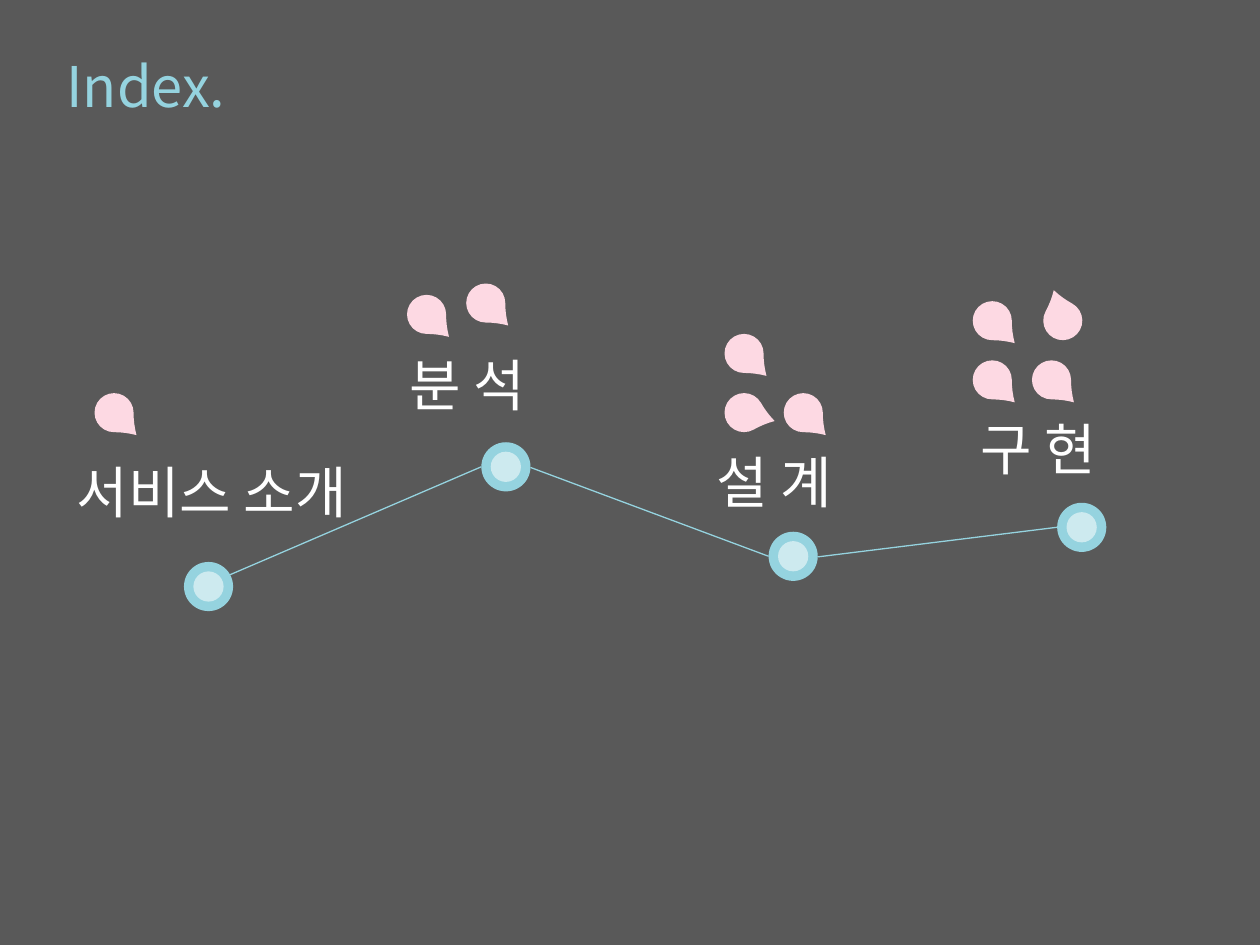
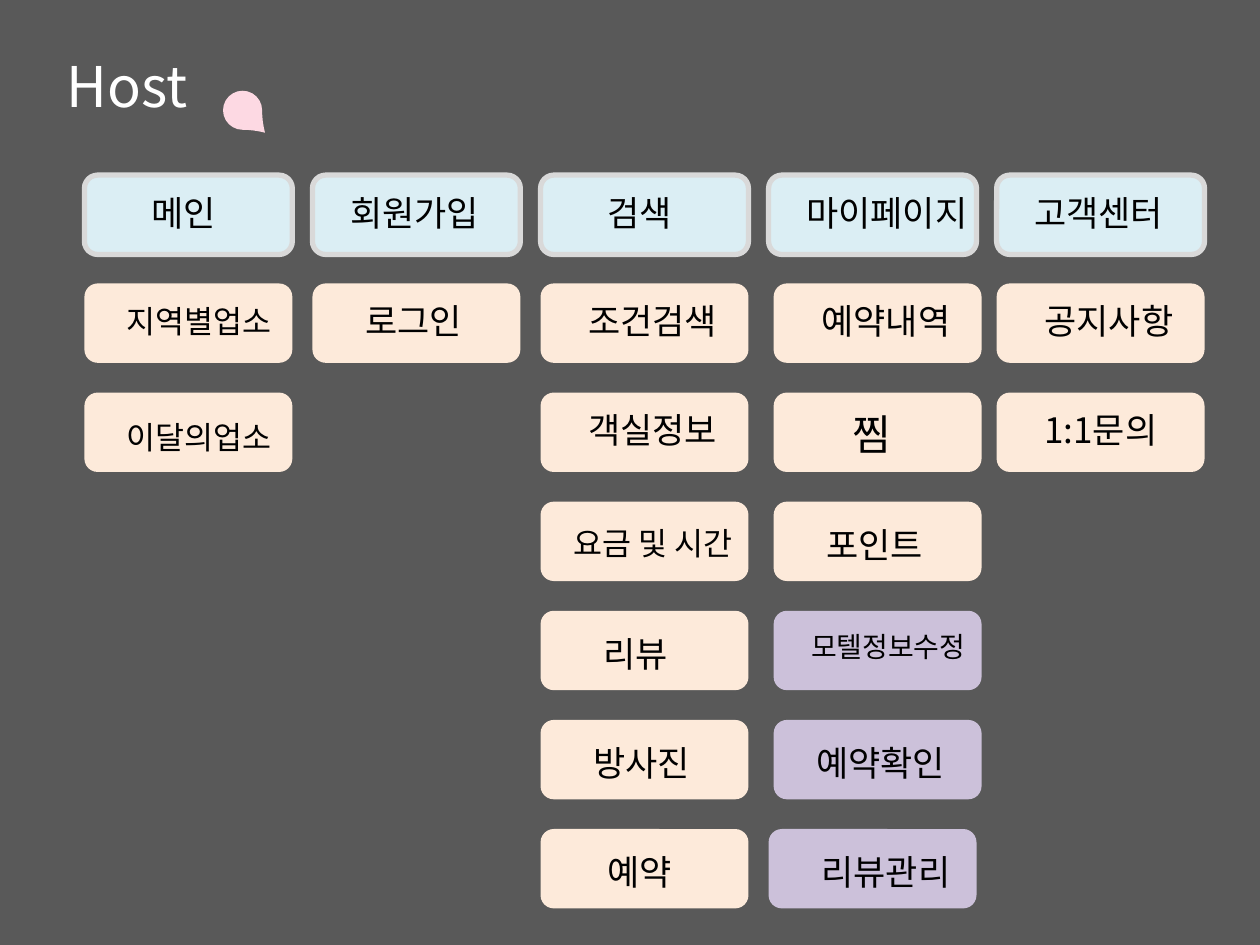
from lxml import etree
from pptx import Presentation
from pptx.dml.color import RGBColor
from pptx.enum.shapes import MSO_CONNECTOR, MSO_SHAPE
from pptx.enum.text import MSO_AUTO_SIZE
from pptx.oxml.ns import qn
from pptx.util import Inches, Pt

RECT, OVAL = MSO_SHAPE.RECTANGLE, MSO_SHAPE.OVAL
CARD, PETAL = MSO_SHAPE.ROUNDED_RECTANGLE, MSO_SHAPE.TEAR
STRAIGHT = MSO_CONNECTOR.STRAIGHT
GROW = MSO_AUTO_SIZE.SHAPE_TO_FIT_TEXT

FONT = "Noto Sans CJK KR"
COLORS = {
    "back": "595959", "white": "FFFFFF", "black": "000000",
    "aqua": "95D3DF", "petal": "FDD9E3", "menu": "DBEEF4",
    "menu_edge": "D9D9D9", "page": "FDEADA", "manage": "CCC1DA",
}

PETAL_SIZE = 0.31
NODE_SIZE, CORE_SIZE = 0.39, 0.24
LABEL_WIDTH, LABEL_HEIGHT = 2.36, 0.64

# Stops of the index: label, label place, node place, line exit in the node,
# petals as (left, top, rotation)
STOPS = [
    ("서비스 소개", (0.51, 3.58), (1.46, 4.46), (0.23, 0.16),
     [(0.75, 3.12, 90)]),
    ("분 석", (3.15, 2.73), (3.82, 3.51), (NODE_SIZE, 0.2),
     [(3.23, 2.34, 90), (3.7, 2.25, 90)]),
    ("설 계", (5.59, 3.5), (6.1, 4.22), (NODE_SIZE, 0.2),
     [(5.75, 3.12, 60.3), (6.22, 3.12, 90), (5.75, 2.65, 90)]),
    ("구 현", (7.68, 3.24), (8.39, 3.99), (NODE_SIZE, 0.2),
     [(7.72, 2.86, 90), (8.19, 2.86, 90), (7.72, 2.39, 90),
      (8.28, 2.39, 298.5)]),
]

# Site map geometry
CARD_WIDTH, CARD_HEIGHT = 1.65, 0.63
MAP_LEFT, MENU_TOP, PAGES_TOP = 0.67, 1.39, 2.25
COLUMN_STEP = 1.81
ROW_STEP = (6.58 - PAGES_TOP) / 5

# Each column: the menu, then its pages.
# Each card: text, label offset, label width, size, fill, shift of the card
MENUS = [
    [("메인", 0.43, 0.08, 1.61, 20, "menu", 0),
     ("지역별업소", 0.24, 0.1, 1.57, 18, "page", 0),
     ("이달의업소", 0.24, 0.15, 1.57, 18, "page", 0)],
    [("회원가입", 0.2, 0.08, 1.61, 20, "menu", 0),
     ("로그인", 0.32, 0.08, 1.14, 20, "page", 0)],
    [("검색", 0.43, 0.08, 1.14, 20, "menu", 0),
     ("조건검색", 0.28, 0.08, 1.46, 20, "page", 0),
     ("객실정보", 0.28, 0.08, 1.46, 20, "page", 0),
     ("요금 및 시간", 0.16, 0.13, 1.73, 18, "page", 0),
     ("리뷰", 0.4, 0.12, 1.46, 20, "page", 0),
     ("방사진", 0.32, 0.12, 1.46, 20, "page", 0),
     ("예약", 0.43, 0.12, 1.46, 20, "page", 0)],
    [("마이페이지", 0.2, 0.08, 1.93, 20, "menu", 0),
     ("예약내역", 0.28, 0.08, 1.46, 20, "page", 0.04),
     ("찜", 0.53, 0.08, 0.57, 24, "page", 0.04),
     ("포인트", 0.32, 0.12, 1.46, 20, "page", 0.04),
     ("모텔정보수정", 0.2, 0.1, 1.69, 16, "manage", 0.04),
     ("예약확인", 0.24, 0.12, 1.46, 20, "manage", 0.04),
     ("리뷰관리", 0.32, 0.12, 1.46, 20, "manage", 0)],
    [("고객센터", 0.2, 0.08, 1.93, 20, "menu", 0),
     ("공지사항", 0.28, 0.08, 1.93, 20, "page", 0),
     ("1:1문의", 0.28, 0.08, 1.93, 20, "page", 0)],
]


def rgb(color):
    return RGBColor.from_string(COLORS[color])


def add_filled(shapes, kind, left, top, width, height, color):
    shape = shapes.add_shape(kind, Inches(left), Inches(top),
                             Inches(width), Inches(height))
    shape.shadow.inherit = False
    shape.fill.solid()
    shape.fill.fore_color.rgb = rgb(color)
    shape.line.fill.background()
    return shape


def add_label(slide, text, left, top, width, height, size, color):
    label = slide.shapes.add_textbox(Inches(left), Inches(top),
                                     Inches(width), Inches(height))
    frame = label.text_frame
    frame.word_wrap = True
    frame.auto_size = GROW
    frame.text = text
    paragraph = frame.paragraphs[0]
    paragraph.font.size = Pt(size)
    paragraph.font.color.rgb = rgb(color)
    paragraph.font.name = FONT
    # Korean glyphs take the East Asian typeface
    defaults = paragraph._p.pPr.find(qn("a:defRPr"))
    etree.SubElement(defaults, qn("a:ea"), typeface=FONT)


def add_petal(slide, left, top, rotation=90):
    petal = add_filled(slide.shapes, PETAL, left, top,
                       PETAL_SIZE, PETAL_SIZE, "petal")
    petal.adjustments[0] = 1.15
    petal.rotation = rotation


def add_titled_slide(deck, title, color):
    slide = deck.slides.add_slide(deck.slide_layouts[6])
    add_filled(slide.shapes, RECT, 0, 0, 10, 7.5, "back")
    add_label(slide, title, 0.43, 0.36, LABEL_WIDTH, LABEL_HEIGHT, 32, color)
    return slide


def add_route(slide, start, end):
    route = slide.shapes.add_connector(
        STRAIGHT, *(Inches(value) for value in (*start, *end)))
    route.line.color.rgb = rgb("aqua")
    route.line.width = Pt(0.75)
    etree.SubElement(route._element.spPr, qn("a:effectLst"))


def add_node(slide, left, top):
    node = slide.shapes.add_group_shape()
    add_filled(node.shapes, OVAL, left, top, NODE_SIZE, NODE_SIZE, "aqua")
    inset = (NODE_SIZE - CORE_SIZE) / 2
    core = add_filled(node.shapes, OVAL, left + inset, top + inset,
                      CORE_SIZE, CORE_SIZE, "white")
    tint = core._element.spPr.find(qn("a:solidFill")).find(qn("a:srgbClr"))
    etree.SubElement(tint, qn("a:alpha"), val="53000")


def add_card(slide, left, top, card):
    text, label_x, label_y, label_width, size, fill, shift = card
    left += shift
    box = add_filled(slide.shapes, CARD, left, top,
                     CARD_WIDTH, CARD_HEIGHT, fill)
    if fill == "menu":
        box.line.color.rgb = rgb("menu_edge")
        box.line.width = Pt(3)
    add_label(slide, text, left + label_x, top + label_y,
              label_width, size * 0.02 + 0.04, size, "black")


def build_index(deck):
    slide = add_titled_slide(deck, "Index.", "aqua")
    # Labels and petals
    for text, place, _, _, petals in STOPS:
        add_label(slide, text, *place, LABEL_WIDTH, LABEL_HEIGHT, 32, "white")
        for petal in petals:
            add_petal(slide, *petal)
    # Lines between stops, under the nodes
    for (_, _, node, leave, _), (_, _, following, _, _) in zip(STOPS, STOPS[1:]):
        add_route(slide, (node[0] + leave[0], node[1] + leave[1]),
                  (following[0], following[1] + NODE_SIZE / 2))
    for _, _, node, _, _ in STOPS:
        add_node(slide, *node)


def build_site_map(deck):
    slide = add_titled_slide(deck, "Host", "white")
    add_petal(slide, 1.77, 0.72)
    for column, (menu, *pages) in enumerate(MENUS):
        left = MAP_LEFT + column * COLUMN_STEP
        add_card(slide, left, MENU_TOP, menu)
        for row, page in enumerate(pages):
            add_card(slide, left, PAGES_TOP + row * ROW_STEP, page)


def main():
    deck = Presentation()
    deck.slide_width, deck.slide_height = Inches(10), Inches(7.5)
    build_index(deck)
    build_site_map(deck)
    deck.save("out.pptx")


if __name__ == "__main__":
    main()
